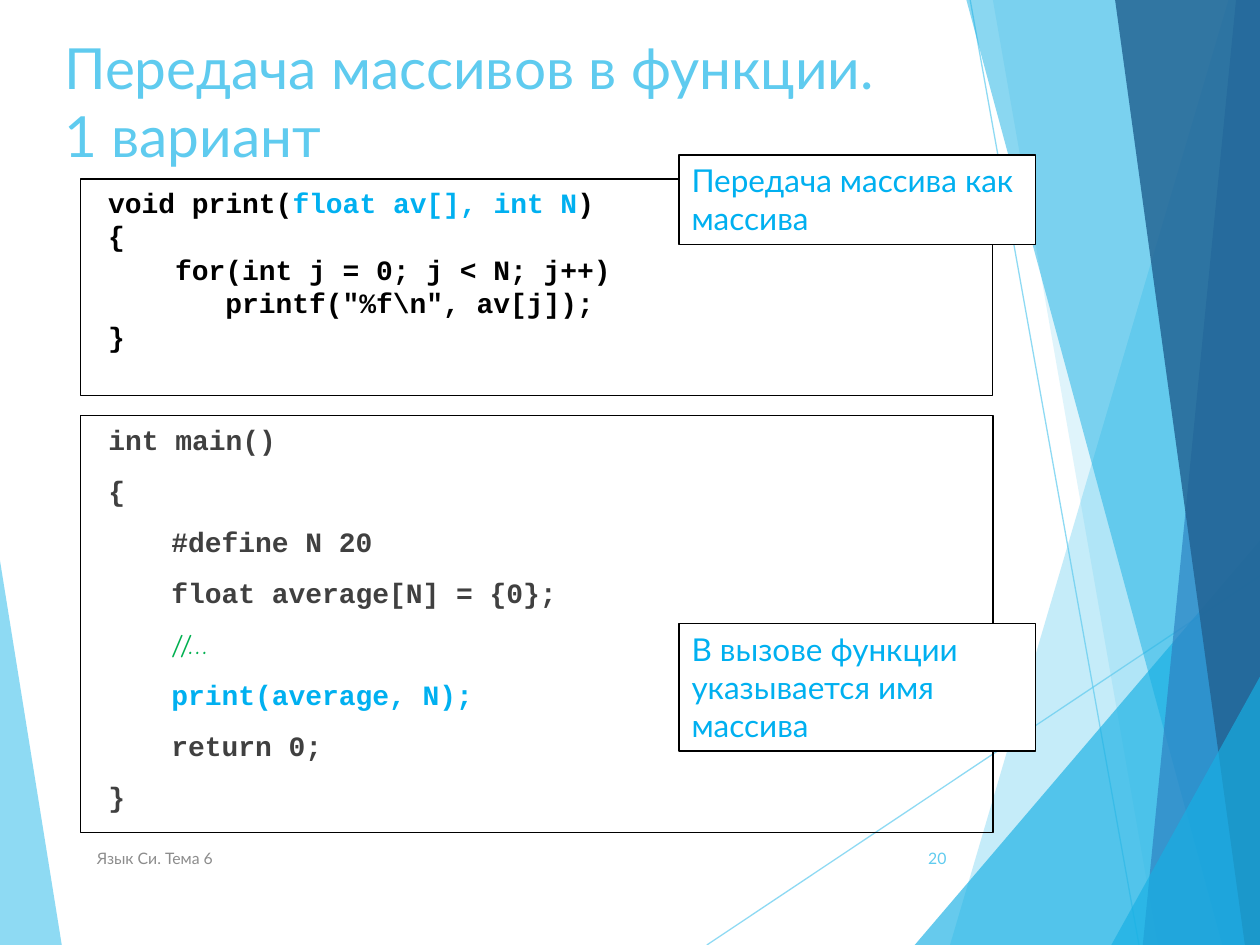
import pptx
import pptx.util
import pptx.dml.color
import pptx.enum.shapes
import pptx.enum.text
import pptx.oxml.ns
import lxml.etree

Inches, Pt = pptx.util.Inches, pptx.util.Pt
Align = pptx.enum.text.PP_ALIGN
Anchor = pptx.enum.text.MSO_ANCHOR

SKY, BLUE, DARK, GREY = "5FCBEF", "17B0E4", "404040", "8C8C8C"
AQUA, BLACK, WHITE, GREEN = "00B0F0", "000000", "FFFFFF", "00B050"
EDGE, STEP = 0.12, 0.5

# Corner points, fill, opacity in percent
WEDGE = ([(0, 4.45), (0.49, 7.5), (0, 7.5)], SKY, 70)
RAYS = [((5.61, 7.5), (10, 4.57)), ((7.7, 0), (9.04, 7.5))]
BANDS = [
    ([(9.75, 0), (7.54, 7.5), (10, 7.5), (10, 0)], SKY, 36),
    ([(7.88, 0), (9.19, 7.5), (10, 7.5), (10, 0)], SKY, 20),
    ([(7.26, 7.5), (10, 4.29), (10, 7.5)], BLUE, 66),
    ([(7.67, 0), (9.7, 7.5), (10, 7.5), (10, 0)], BLUE, 50),
    ([(9.81, 0), (9.07, 7.5), (10, 7.5), (10, 0)], "2E83C3", 70),
    ([(8.85, 0), (9.88, 7.5), (10, 7.5), (10, 0)], "226292", 82),
    ([(8.82, 7.5), (10, 5.37), (10, 7.5)], BLUE, 66),
]

CODE = dict(name="Courier New", size=Pt(16), bold=True)
NOTE = dict(name="Comic Neue", size=Pt(16), bold=False)
HEAD = dict(name="Lato", size=Pt(32.4), bold=False)
CALL = dict(name="Lato", size=Pt(18), bold=False)
FOOT = dict(name="Lato", size=Pt(9), bold=False)

# Each line: indent level, then runs of (text, colour, font)
TITLE = [(0, [("Передача массивов в функции. \v1 вариант", SKY, HEAD)])]
MAIN = [
    (0, [("int main()", DARK, CODE)]),
    (0, [("{", DARK, CODE)]),
    (1, [("#define N 20", DARK, CODE)]),
    (1, [("float average[N] = {0};", DARK, CODE)]),
    (1, [("//…", GREEN, NOTE)]),
    (1, [("print(average, N);", AQUA, CODE)]),
    (1, [("return 0;", DARK, CODE)]),
    (0, [("}", DARK, CODE)]),
]
PRINT = [
    (0, [("void print(", BLACK, CODE), ("float av[], int N", AQUA, CODE),
         (")", BLACK, CODE)]),
    (0, [("{", BLACK, CODE)]),
    (0, [("    for(int j = 0; j < N; j++)", BLACK, CODE)]),
    (0, [('       printf("%f\\n", av[j]);', BLACK, CODE)]),
    (0, [("}", BLACK, CODE)]),
]
CALLS = [
    ((5.39, 1.23, 2.83, 0.71), "Передача массива как массива"),
    ((5.39, 4.95, 2.83, 1.01), "В вызове функции указывается имя массива"),
]
FEET = [
    ((0.67, 6.61, 5.06, 0.4), "Язык Си. Тема 6", GREY, Align.LEFT),
    ((7.05, 6.61, 0.56, 0.4), "20", SKY, Align.RIGHT),
]


def add_tag(node, tag, **attrs):
    return lxml.etree.SubElement(node, pptx.oxml.ns.qn(tag), **attrs)


def paint(fill, tint, alpha=100):
    fill.solid()
    fill.fore_color.rgb = pptx.dml.color.RGBColor.from_string(tint)
    if alpha < 100:
        node = fill._xPr.find(".//" + pptx.oxml.ns.qn("a:srgbClr"))
        add_tag(node, "a:alpha", val=str(alpha * 1000))


def outline(shape, tint=BLACK, alpha=100):
    shape.line.width = Pt(0.75)
    paint(shape.line.fill, tint, alpha)


def place(shape, box):
    for key, val in zip(("left", "top", "width", "height"), box):
        setattr(shape, key, Inches(val))


def write(shape, lines, align=Align.LEFT, anchor=Anchor.TOP, edge=0,
          gap=0, pitch=None):
    frame = shape.text_frame
    frame.word_wrap = True
    frame.auto_size = pptx.enum.text.MSO_AUTO_SIZE.NONE
    frame.vertical_anchor = anchor
    for i, (level, runs) in enumerate(lines):
        para = frame.add_paragraph() if i else frame.paragraphs[0]
        props = para._p.get_or_add_pPr()
        props.set("marL", str(Inches(edge + level * STEP)))
        props.set("indent", "0")
        add_tag(props, "a:buNone")
        look = dict(alignment=align, space_before=Pt(gap if i else 0),
                    space_after=Pt(0), line_spacing=pitch)
        for key, val in look.items():
            setattr(para, key, val)
        for text, tint, font in runs:
            # A vertical tab stands for a line break inside the paragraph
            for n, part in enumerate(text.split("\v")):
                if n:
                    para.add_line_break()
                run = para.add_run()
                run.text = part
                for key, val in font.items():
                    setattr(run.font, key, val)
                paint(run.font.fill, tint)


def add_band(shapes, points, tint, alpha):
    spots = [(Inches(x), Inches(y)) for x, y in points]
    maker = shapes.build_freeform(*spots[0])
    maker.add_line_segments(spots[1:], close=True)
    band = maker.convert_to_shape()
    band.shadow.inherit = False
    paint(band.fill, tint, alpha)
    band.line.fill.background()


def add_ray(shapes, start, end):
    ray = shapes.add_connector(pptx.enum.shapes.MSO_CONNECTOR.STRAIGHT,
                               *map(Inches, start + end))
    outline(ray, SKY, 70)
    add_tag(ray._element.spPr, "a:effectLst")


def add_box(shapes, box):
    shape = shapes.add_shape(pptx.enum.shapes.MSO_SHAPE.RECTANGLE,
                             *map(Inches, box))
    shape.shadow.inherit = False
    outline(shape)
    return shape


def main():
    deck = pptx.Presentation()
    deck.slide_width, deck.slide_height = Inches(10), Inches(7.5)
    slide = deck.slides.add_slide(deck.slide_layouts[1])
    shapes = slide.shapes
    title, body = shapes.title, slide.placeholders[1]

    add_band(shapes, *WEDGE)
    for ray in RAYS:
        add_ray(shapes, *ray)
    for band in BANDS:
        add_band(shapes, *band)

    # Bring the placeholders in front of the backdrop
    for holder in (title, body):
        shapes._spTree.append(holder._element)
    place(title, (0.41, 0.21, 6.94, 1.44))
    write(title, TITLE)
    place(body, (0.64, 3.3, 7.24, 3.31))
    outline(body)
    write(body, MAIN, edge=EDGE, gap=10, pitch=Pt(19.2))

    for box, text, tint, align in FEET:
        foot = shapes.add_textbox(*map(Inches, box))
        write(foot, [(0, [(text, tint, FOOT)])], align, Anchor.MIDDLE)

    code = add_box(shapes, (0.64, 1.42, 7.24, 1.72))
    code.fill.background()
    write(code, PRINT, edge=EDGE, pitch=Pt(19.2))

    for box, text in CALLS:
        call = add_box(shapes, box)
        paint(call.fill, WHITE)
        write(call, [(0, [(text, AQUA, CALL)])])

    deck.save("out.pptx")


if __name__ == "__main__":
    main()
